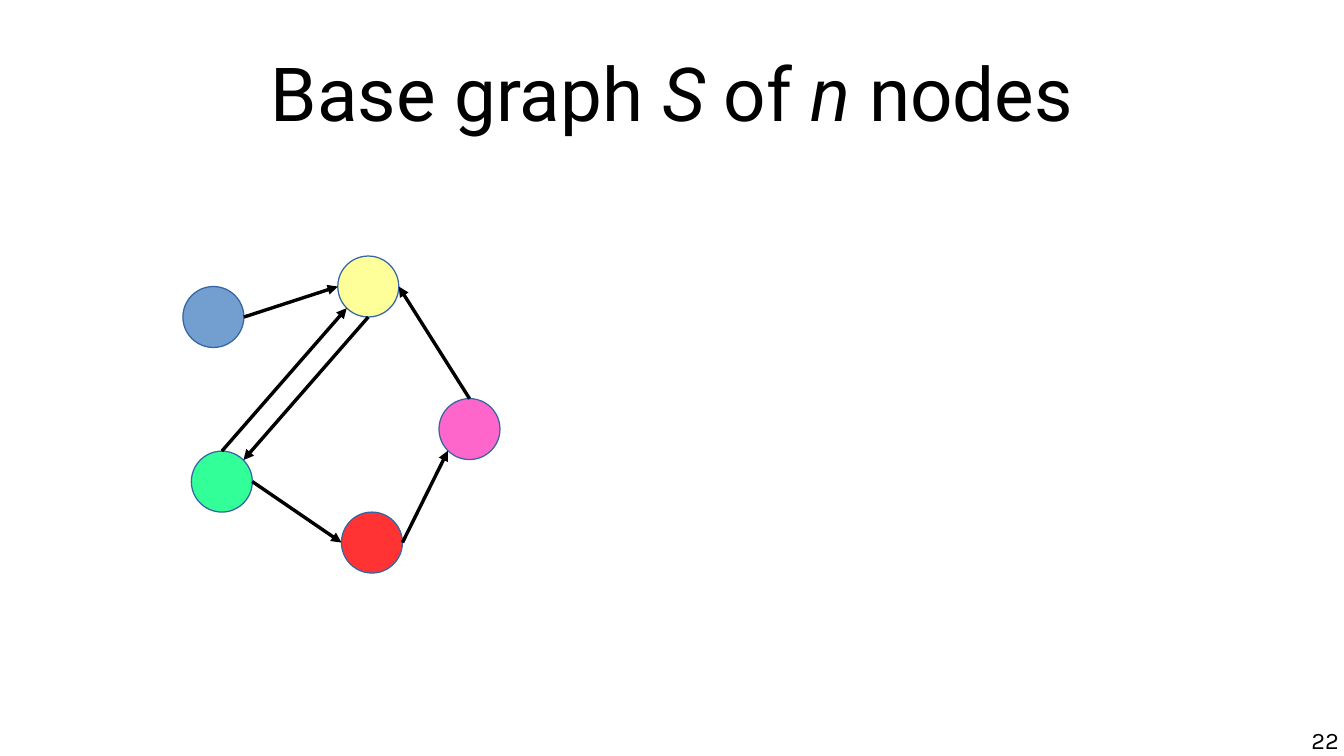
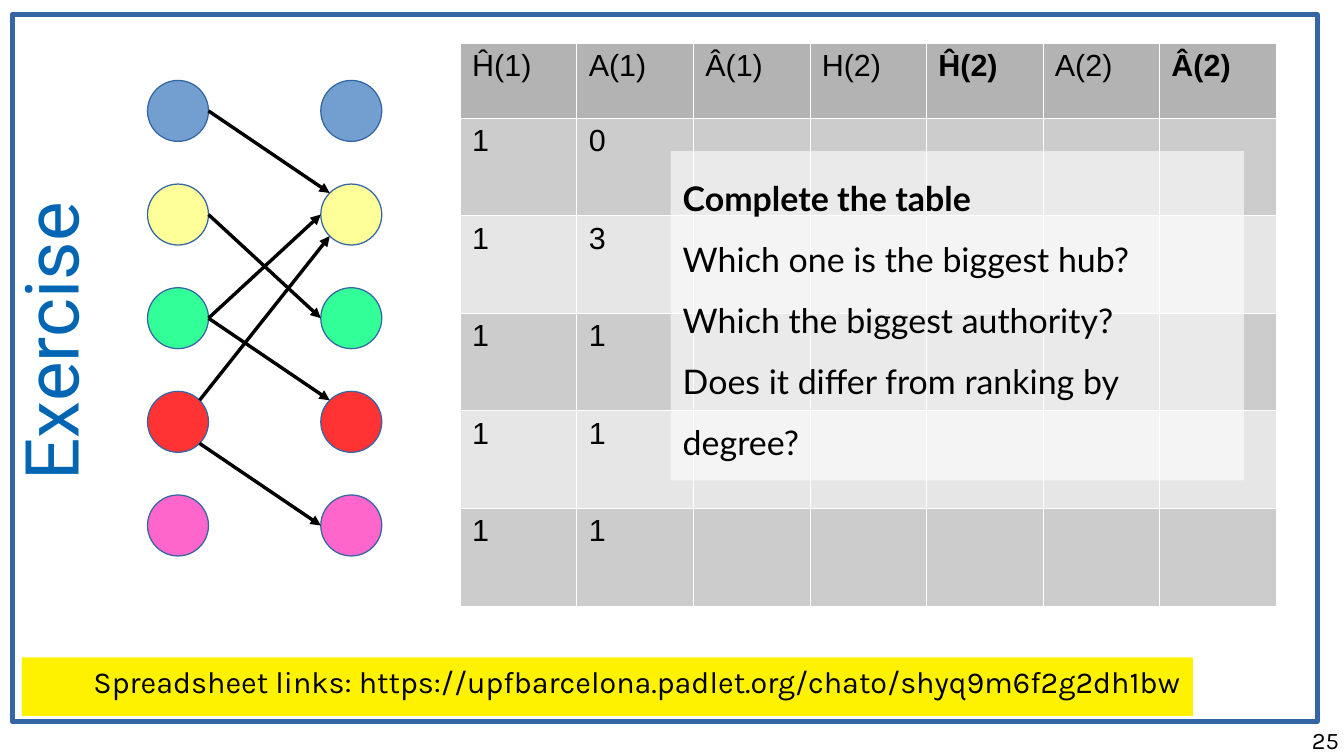
from math import cos, radians, sin

from lxml import etree
from pptx import Presentation
from pptx.dml.color import RGBColor
from pptx.enum.shapes import MSO_CONNECTOR, MSO_SHAPE
from pptx.enum.text import MSO_ANCHOR, PP_ALIGN
from pptx.oxml.ns import qn
from pptx.util import Pt

STRAIGHT = MSO_CONNECTOR.STRAIGHT
OVAL, RECTANGLE = MSO_SHAPE.OVAL, MSO_SHAPE.RECTANGLE
TOP, MIDDLE = MSO_ANCHOR.TOP, MSO_ANCHOR.MIDDLE
LEFT, CENTER, RIGHT = PP_ALIGN.LEFT, PP_ALIGN.CENTER, PP_ALIGN.RIGHT

# Shared look
SLIDE_SIZE = (793.44, 446.4)
BLACK, WHITE, BLUE, OUTLINE, YELLOW = "000000", "FFFFFF", "0066B3", "3465A4", "FFF200"
TITLE_FONT, NUMBER_FONT, NOTE_FONT, TABLE_FONT = "Roboto", "Karla", "Lato", "Arial"
TITLE_SIZE = 44
NODE_COLORS = {"blue": "729FCF", "yellow": "FFFF99", "green": "33FF99",
               "red": "FF3333", "pink": "FF66CC"}
RADIUS = 18
INSETS = (7.2, 3.6, 7.2, 3.6)
NO_INSETS = (0, 0, 0, 0)

# Angles of the points on a node where arrows attach, clockwise from the right
ANGLES = {"right": 0, "bottom right": 45, "bottom": 90, "bottom left": 135,
          "left": 180, "top left": 225, "top": 270, "top right": 315}

# Base graph: runs are (text, style); arrows are (node, side, node, side)
GRAPH_TITLE = [("Base graph ", ""), ("S", "i"), (" of ", ""), ("n", "i"), (" nodes", "")]
GRAPH_CENTERS = {"blue": (126, 187.2), "yellow": (217.44, 169.2), "green": (131, 284.4),
                 "red": (219.6, 320.4), "pink": (277.2, 253.4)}
GRAPH_ARROWS = [
    ("blue", "right", "yellow", "left"),
    ("yellow", "bottom", "green", "top right"),
    ("green", "top", "yellow", "bottom left"),
    ("green", "right", "red", "left"),
    ("red", "right", "pink", "bottom left"),
    ("pink", "top", "yellow", "right"),
]

# Exercise: hubs on the left, authorities on the right
HUB_X, AUTHORITY_X, FIRST_Y, STEP_Y = 105.1, 207.4, 65.5, 61.2
EXERCISE_ARROWS = [
    ("blue", "right", "yellow", "top left"),
    ("green", "right", "yellow", "left"),
    ("green", "right", "red", "top left"),
    ("red", "bottom right", "pink", "left"),
    ("yellow", "right", "green", "left"),
    ("red", "top right", "yellow", "bottom left"),
]
HEADER = [("Ĥ(1)", ""), ("A(1)", ""), ("Â(1)", ""), ("H(2)", ""),
          ("Ĥ(2)", "b"), ("A(2)", ""), ("Â(2)", "b")]
SCORES = [("1", "0"), ("1", "3"), ("1", "1"), ("1", "1"), ("1", "1")]
TABLE_LEFT, TABLE_TOP, COLUMN_WIDTH, HEADER_HEIGHT, ROW_HEIGHT = 271.6, 25.2, 68.8, 44.4, 57.6
HEADER_FILL, ROW_FILLS = "B3B3B3", ("CCCCCC", "E6E6E6")
QUESTIONS = [
    [("Complete the table", "b")],
    [("Which one is the biggest hub?", "")],
    [("Which the biggest authority?", "")],
    [("Does it differ from ranking by degree?", "")],
]
LINKS = [[("Spreadsheet links: https://upfbarcelona.padlet.org/chato/shyq9m6f2g2dh1bw", "")]]


def rgb(color):
    return RGBColor.from_string(color)


def points(values):
    return [Pt(value) for value in values]


def write(frame, paragraphs, font, size, color=BLACK, align=LEFT, anchor=TOP,
          insets=INSETS, spacing=None):
    """Fill a text frame with paragraphs, each a list of (text, style) runs."""
    frame.word_wrap = True
    frame.vertical_anchor = anchor
    (frame.margin_left, frame.margin_top,
     frame.margin_right, frame.margin_bottom) = points(insets)
    for index, runs in enumerate(paragraphs):
        para = frame.add_paragraph() if index else frame.paragraphs[0]
        para.alignment = align
        if spacing:
            para.line_spacing = spacing
        for text, style in runs:
            span = para.add_run()
            span.text = text
            span.font.name, span.font.size = font, Pt(size)
            span.font.color.rgb = rgb(color)
            span.font.bold, span.font.italic = style == "b", style == "i"


def add_text(page, place, paragraphs, font, size, **options):
    box = page.shapes.add_textbox(*points(place))
    write(box.text_frame, paragraphs, font, size, insets=NO_INSETS, **options)
    return box


def add_title(page, place, runs, color=BLACK):
    return add_text(page, place, [runs], TITLE_FONT, TITLE_SIZE,
                    color=color, align=CENTER, anchor=MIDDLE)


def add_number(page, number):
    add_text(page, (605.5, 428.4, 185, 18), [[(number, "")]], NUMBER_FONT, 14, align=RIGHT)


def add_figure(page, kind, place, fill=None, line=None, width=0):
    shape = page.shapes.add_shape(kind, *points(place))
    shape.shadow.inherit = False
    if fill:
        shape.fill.solid()
        shape.fill.fore_color.rgb = rgb(fill)
    else:
        shape.fill.background()
    if line:
        shape.line.color.rgb = rgb(line)
        shape.line.width = Pt(width)
    else:
        shape.line.fill.background()
    return shape


def add_nodes(page, centers):
    for name, (x, y) in centers.items():
        place = (x - RADIUS, y - RADIUS, 2 * RADIUS, 2 * RADIUS)
        add_figure(page, OVAL, place, NODE_COLORS[name], OUTLINE)


def rim(center, side):
    angle = radians(ANGLES[side])
    return center[0] + RADIUS * cos(angle), center[1] + RADIUS * sin(angle)


def add_arrows(page, arrows, sources, targets):
    for source, leaving, target, entering in arrows:
        ends = rim(sources[source], leaving) + rim(targets[target], entering)
        arrow = page.shapes.add_connector(STRAIGHT, *points(ends))
        arrow.line.color.rgb = rgb(BLACK)
        arrow.line.width = Pt(0)
        properties = arrow.element.spPr
        etree.SubElement(properties.find(qn("a:ln")), qn("a:tailEnd"), type="triangle")
        etree.SubElement(properties, qn("a:effectLst"))


def style_cell(cell, fill):
    cell.fill.solid()
    cell.fill.fore_color.rgb = rgb(fill)
    properties = cell._tc.get_or_add_tcPr()
    for index, edge in enumerate(("a:lnL", "a:lnR", "a:lnT", "a:lnB")):
        border = etree.Element(qn(edge), w=str(Pt(0.06)))
        paint = etree.SubElement(border, qn("a:solidFill"))
        etree.SubElement(paint, qn("a:srgbClr"), val=WHITE)
        properties.insert(index, border)


def add_score_table(page):
    rows = [HEADER] + [[(score, "") for score in scores] for scores in SCORES]
    heights = [HEADER_HEIGHT] + [ROW_HEIGHT] * len(SCORES)
    place = (TABLE_LEFT, TABLE_TOP, COLUMN_WIDTH * len(HEADER), sum(heights))
    table = page.shapes.add_table(len(rows), len(HEADER), *points(place)).table
    for column in table.columns:
        column.width = Pt(COLUMN_WIDTH)
    for r, (runs, height) in enumerate(zip(rows, heights)):
        table.rows[r].height = Pt(height)
        fill = ROW_FILLS[(r - 1) % 2] if r else HEADER_FILL
        for c in range(len(HEADER)):
            style_cell(table.cell(r, c), fill)
        for c, run in enumerate(runs):
            write(table.cell(r, c).text_frame, [[run]], TABLE_FONT, 18)


def build_graph(page):
    add_title(page, (39.6, 0.7, 714.2, 107.3), GRAPH_TITLE)
    add_nodes(page, GRAPH_CENTERS)
    add_arrows(page, GRAPH_ARROWS, GRAPH_CENTERS, GRAPH_CENTERS)
    add_number(page, "22")


def build_exercise(page):
    title = add_title(page, (-100.8, 170.6, 259.2, 62), [("Exercise", "")], BLUE)
    title.rotation = 270

    # Two columns of nodes
    hubs, authorities = (
        {name: (x, FIRST_Y + row * STEP_Y) for row, name in enumerate(NODE_COLORS)}
        for x in (HUB_X, AUTHORITY_X))
    add_nodes(page, hubs)
    add_nodes(page, authorities)
    add_arrows(page, EXERCISE_ARROWS, hubs, authorities)

    # Table, frame and the notes over them
    add_score_table(page)
    add_figure(page, RECTANGLE, (7.2, 8.6, 770.4, 417.6), line=OUTLINE, width=2.89)
    note = add_figure(page, RECTANGLE, (396, 89.3, 338.4, 194.4), WHITE)
    paint = note.element.spPr.find(qn("a:solidFill")).find(qn("a:srgbClr"))
    etree.SubElement(paint, qn("a:alpha"), val="59000")
    write(note.text_frame, QUESTIONS, NOTE_FONT, 20, spacing=1.5)
    banner = add_figure(page, RECTANGLE, (13, 388.1, 691.2, 34.6), YELLOW)
    write(banner.text_frame, LINKS, NUMBER_FONT, 18, align=RIGHT)
    add_number(page, "25")


def main():
    deck = Presentation()
    deck.slide_width, deck.slide_height = points(SLIDE_SIZE)
    for build in (build_graph, build_exercise):
        build(deck.slides.add_slide(deck.slide_layouts[6]))
    deck.save("out.pptx")


if __name__ == "__main__":
    main()
